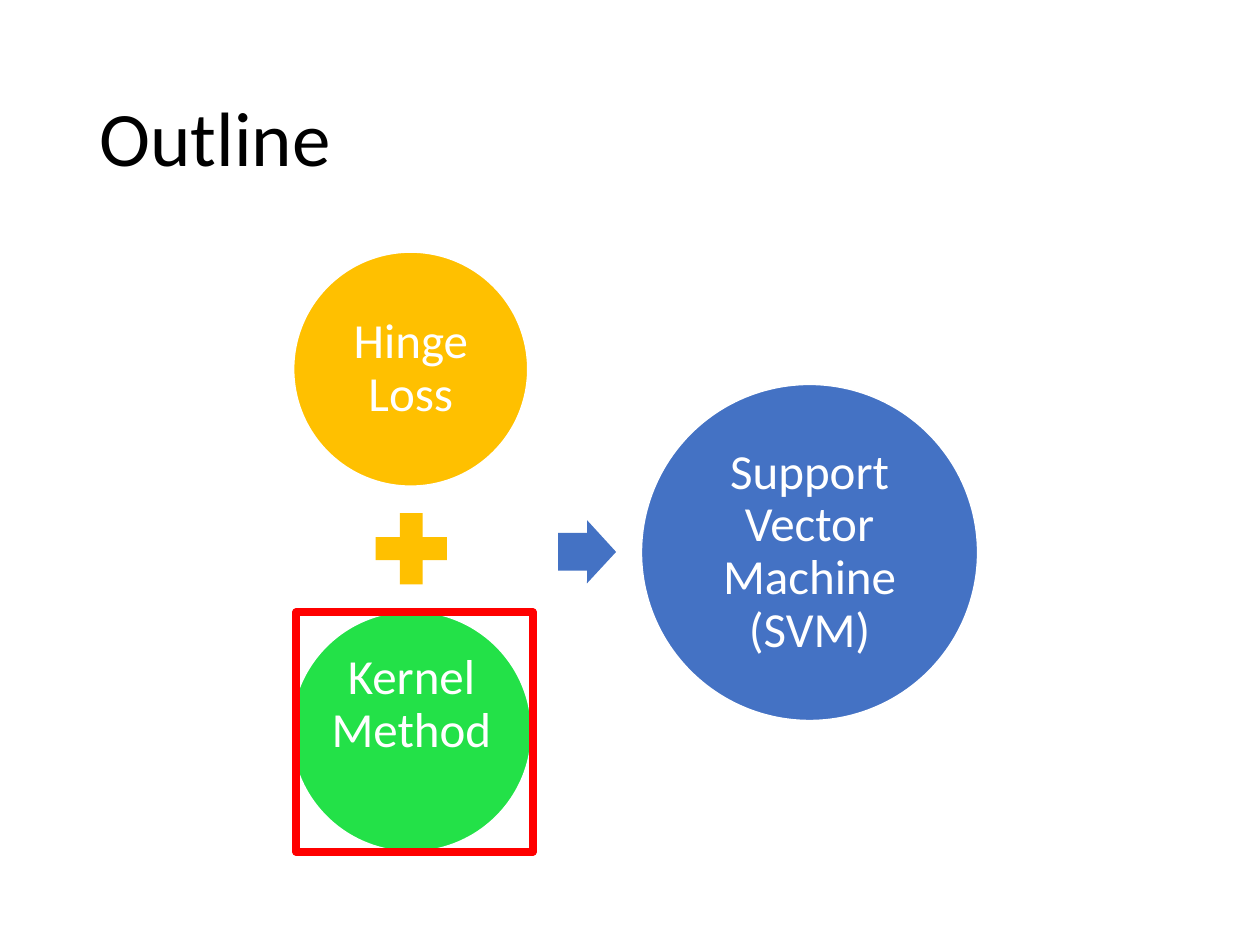
from dataclasses import dataclass
from typing import Optional

from pptx import Presentation as Deck
from pptx.dml.color import RGBColor as Color
from pptx.enum.shapes import MSO_SHAPE as Kind
from pptx.enum.text import MSO_ANCHOR as Anchor, PP_ALIGN as Align
from pptx.util import Inches, Pt


@dataclass(frozen=True)
class Theme:
    font: str = "Calibri"
    head: int = 44
    body: int = 28
    black: str = "000000"
    white: str = "FFFFFF"
    gold: str = "FFC000"
    green: str = "23E148"
    blue: str = "4472C4"
    red: str = "FF0000"


@dataclass(frozen=True)
class Box:
    left: float
    top: float
    width: float
    height: float

    def inches(self) -> list:
        return [Inches(n) for n in (self.left, self.top, self.width, self.height)]


@dataclass(frozen=True)
class Disc:
    label: str
    box: Box
    fill: str
    inset: float
    lift: float = 0

    def inner(self) -> Box:
        size = self.box.width - 2 * self.inset
        return Box(self.box.left + self.inset,
                   self.box.top + self.inset - self.lift, size, size)


THEME = Theme()
DISCS = (
    Disc("Hinge Loss", Box(2.33, 2, 1.86, 1.86), THEME.gold, 0.27),
    Disc("Kernel Method", Box(2.31, 4.85, 1.91, 1.91), THEME.green, 0.28, 0.21),
    Disc("Support Vector Machine (SVM)", Box(5.09, 3.05, 2.67, 2.67),
         THEME.blue, 0.39),
)


def add_form(slide, kind: Kind, box: Box, fill: Optional[str] = None,
             line: Optional[str] = None, weight: float = 1):
    form = slide.shapes.add_shape(kind, *box.inches())
    form.shadow.inherit = False
    if fill:
        form.fill.solid()
        form.fill.fore_color.rgb = Color.from_string(fill)
    else:
        form.fill.background()
    if line:
        form.line.color.rgb = Color.from_string(line)
        form.line.width = Pt(weight)
    else:
        form.line.fill.background()
    return form


def add_text(slide, text: str, box: Box, size: int, color: str,
             align: Align, pad_x: float, pad_y: float) -> None:
    frame = slide.shapes.add_textbox(*box.inches()).text_frame
    frame.word_wrap = True
    frame.vertical_anchor = Anchor.MIDDLE
    frame.margin_left = frame.margin_right = Inches(pad_x)
    frame.margin_top = frame.margin_bottom = Inches(pad_y)
    frame.text = text
    line = frame.paragraphs[0]
    line.alignment = align
    line.line_spacing = 0.9
    font = line.runs[0].font
    font.name = THEME.font
    font.size = Pt(size)
    font.color.rgb = Color.from_string(color)


def add_disc(slide, disc: Disc) -> None:
    add_form(slide, Kind.OVAL, disc.box, disc.fill, THEME.white)
    add_text(slide, disc.label, disc.inner(), THEME.body, THEME.white,
             Align.CENTER, 0.04, 0.04)


def main() -> None:
    deck = Deck()
    deck.slide_width, deck.slide_height = Inches(10), Inches(7.5)
    slide = deck.slides.add_slide(deck.slide_layouts[6])
    add_text(slide, "Outline", Box(0.69, 0.4, 8.62, 1.45), THEME.head,
             THEME.black, Align.LEFT, 0.1, 0.05)
    for disc in DISCS:
        add_disc(slide, disc)
    add_form(slide, Kind.MATH_PLUS, Box(2.88, 3.97, 0.77, 0.77), THEME.gold)
    arrow = add_form(slide, Kind.RIGHT_ARROW, Box(4.43, 4.13, 0.46, 0.5), THEME.blue)
    arrow.adjustments[0] = 0.6
    arrow.rotation = 0.2
    add_form(slide, Kind.RECTANGLE, Box(2.35, 4.86, 1.88, 1.9),
             line=THEME.red, weight=4.5)
    deck.save("out.pptx")


if __name__ == "__main__":
    main()
